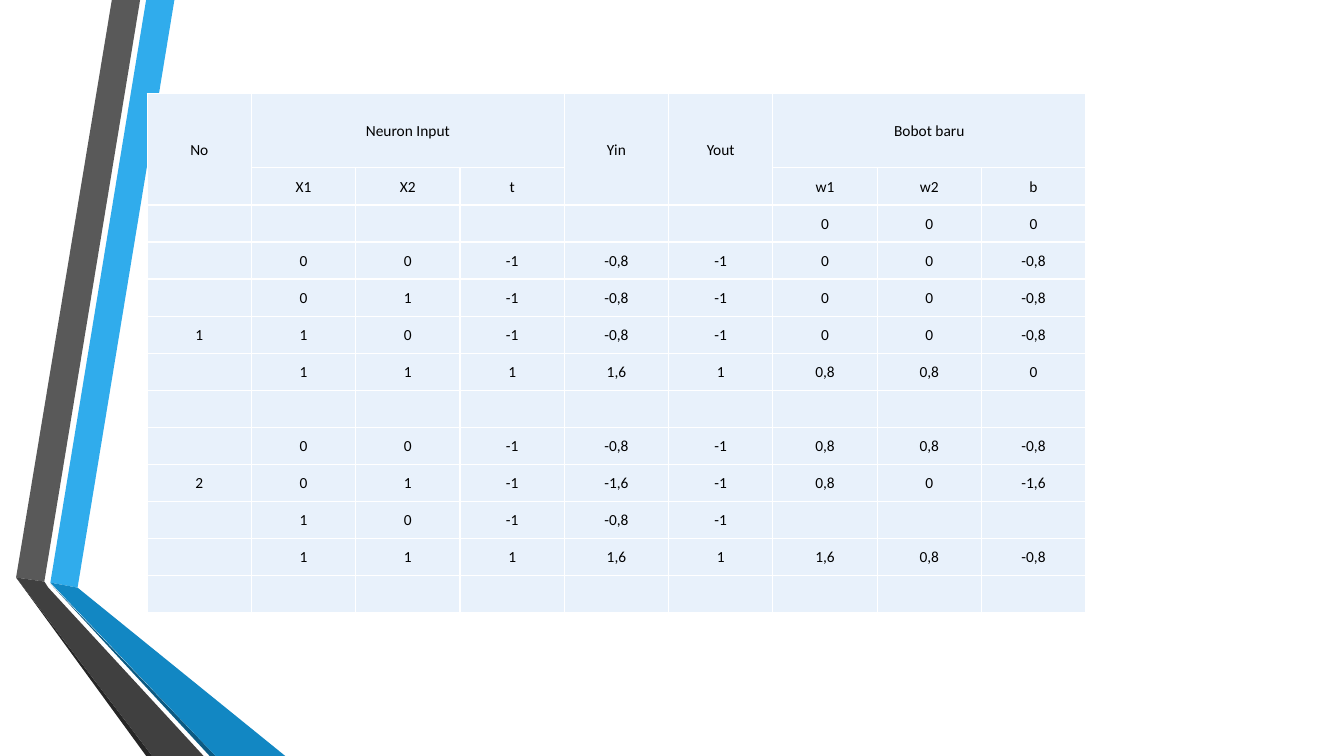
import lxml.etree
import pptx
import pptx.dml.color
import pptx.enum.text
import pptx.oxml.ns
import pptx.util

RGBColor = pptx.dml.color.RGBColor
SKY = RGBColor(0x30, 0xAC, 0xEC)
BLUE = RGBColor(0x12, 0x87, 0xC3)
NAVY = RGBColor(0x0C, 0x5A, 0x82)
GREY = RGBColor(0x59, 0x59, 0x59)
CHARCOAL = RGBColor(0x40, 0x40, 0x40)
SOOT = RGBColor(0x26, 0x26, 0x26)
CELL_FILL = RGBColor(0xE8, 0xF1, 0xFB)
BORDER = RGBColor(0xFF, 0xFF, 0xFF)
INK = RGBColor(0x00, 0x00, 0x00)

SLIDE_COLUMNS, SLIDE_ROWS = 13.33, 7.5  # slide grid, one unit per inch

# Ribbon outlines in grid units, from back to front
RIBBONS = [
    (SKY, [(0.5, 5.78), (0.77, 5.83), (1.73, 0), (1.45, 0)]),
    (GREY, [(1.39, 0), (1.11, 0), (0.16, 5.73), (0.44, 5.77)]),
    (SOOT, [(0.16, 5.73), (1.45, 7.5), (1.51, 7.5)]),
    (NAVY, [(0.5, 5.79), (2.08, 7.5), (2.14, 7.5)]),
    (BLUE, [(0.5, 5.78), (2.14, 7.5), (2.83, 7.5), (0.77, 5.83)]),
    (CHARCOAL, [(2.02, 7.5), (0.48, 5.83), (0.44, 5.77), (0.16, 5.73), (1.51, 7.5)]),
]

TRAINING_ROWS = [
    ("No", "Neuron Input", "", "", "Yin", "Yout", "Bobot baru", "", ""),
    ("", "X1", "X2", "t", "", "", "w1", "w2", "b"),
    ("", "", "", "", "", "", "0", "0", "0"),
    ("", "0", "0", "-1", "-0,8", "-1", "0", "0", "-0,8"),
    ("", "0", "1", "-1", "-0,8", "-1", "0", "0", "-0,8"),
    ("1", "1", "0", "-1", "-0,8", "-1", "0", "0", "-0,8"),
    ("", "1", "1", "1", "1,6", "1", "0,8", "0,8", "0"),
    ("",) * 9,
    ("", "0", "0", "-1", "-0,8", "-1", "0,8", "0,8", "-0,8"),
    ("2", "0", "1", "-1", "-1,6", "-1", "0,8", "0", "-1,6"),
    ("", "1", "0", "-1", "-0,8", "-1", "", "", ""),
    ("", "1", "1", "1", "1,6", "1", "1,6", "0,8", "-0,8"),
    ("",) * 9,
]
# Header spans as (first row, first column, last row, last column)
HEADER_SPANS = [(0, 0, 1, 0), (0, 1, 0, 3), (0, 4, 1, 4), (0, 5, 1, 5), (0, 6, 0, 8)]


def add_ribbons(slide, left, top, width, height):
    """Draw the folded ribbons on a grid that fills the box."""
    unit_x, unit_y = width / SLIDE_COLUMNS, height / SLIDE_ROWS
    for color, corners in RIBBONS:
        start, *others = [(x * unit_x, y * unit_y) for x, y in corners]
        outline = slide.shapes.build_freeform(*start)
        outline.add_line_segments(others, close=True)
        ribbon = outline.convert_to_shape(left, top)
        ribbon.shadow.inherit = False
        ribbon.fill.solid()
        ribbon.fill.fore_color.rgb = color
        ribbon.line.fill.background()


def add_borders(cell):
    """Give a cell a thin white line on each side, ahead of its fill."""
    properties = cell._tc.get_or_add_tcPr()
    for position, side in enumerate(("a:lnL", "a:lnR", "a:lnT", "a:lnB")):
        line = lxml.etree.Element(pptx.oxml.ns.qn(side), w=str(pptx.util.Pt(1)))
        fill = lxml.etree.SubElement(line, pptx.oxml.ns.qn("a:solidFill"))
        lxml.etree.SubElement(fill, pptx.oxml.ns.qn("a:srgbClr"), val=str(BORDER))
        properties.insert(position, line)


def format_cell(cell, value):
    cell.text = value
    cell.vertical_anchor = pptx.enum.text.MSO_ANCHOR.MIDDLE
    cell.margin_left = cell.margin_right = cell.margin_top = pptx.util.Inches(0.01)
    cell.margin_bottom = 0
    cell.fill.solid()
    cell.fill.fore_color.rgb = CELL_FILL
    add_borders(cell)
    paragraph = cell.text_frame.paragraphs[0]
    paragraph.alignment = pptx.enum.text.PP_ALIGN.CENTER
    paragraph.font.name = "Calibri"
    paragraph.font.size = pptx.util.Pt(11)
    paragraph.font.color.rgb = INK


def add_training_table(slide, left, top, width, height):
    """Fill the box with the table; its first row is twice as tall."""
    row_count, column_count = len(TRAINING_ROWS), len(TRAINING_ROWS[0])
    training = slide.shapes.add_table(
        row_count, column_count, left, top, width, height).table
    training.first_row = training.horz_banding = False
    for column in training.columns:
        column.width = width // column_count
    row_height = height // (row_count + 1)
    for row in training.rows:
        row.height = row_height
    training.rows[0].height = 2 * row_height

    for row_index, values in enumerate(TRAINING_ROWS):
        for column_index, value in enumerate(values):
            format_cell(training.cell(row_index, column_index), value)
    for first_row, first_column, last_row, last_column in HEADER_SPANS:
        training.cell(first_row, first_column).merge(
            training.cell(last_row, last_column))


def main():
    deck = pptx.Presentation()
    deck.slide_width = pptx.util.Inches(SLIDE_COLUMNS)
    deck.slide_height = pptx.util.Inches(SLIDE_ROWS)
    unit_x = deck.slide_width / SLIDE_COLUMNS
    unit_y = deck.slide_height / SLIDE_ROWS
    slide = deck.slides.add_slide(deck.slide_layouts[6])

    add_ribbons(slide, 0, 0, deck.slide_width, deck.slide_height)
    add_training_table(slide, int(1.46 * unit_x), int(0.93 * unit_y),
                       int(9.31 * unit_x), int(5.15 * unit_y))
    deck.save("out.pptx")


if __name__ == "__main__":
    main()
